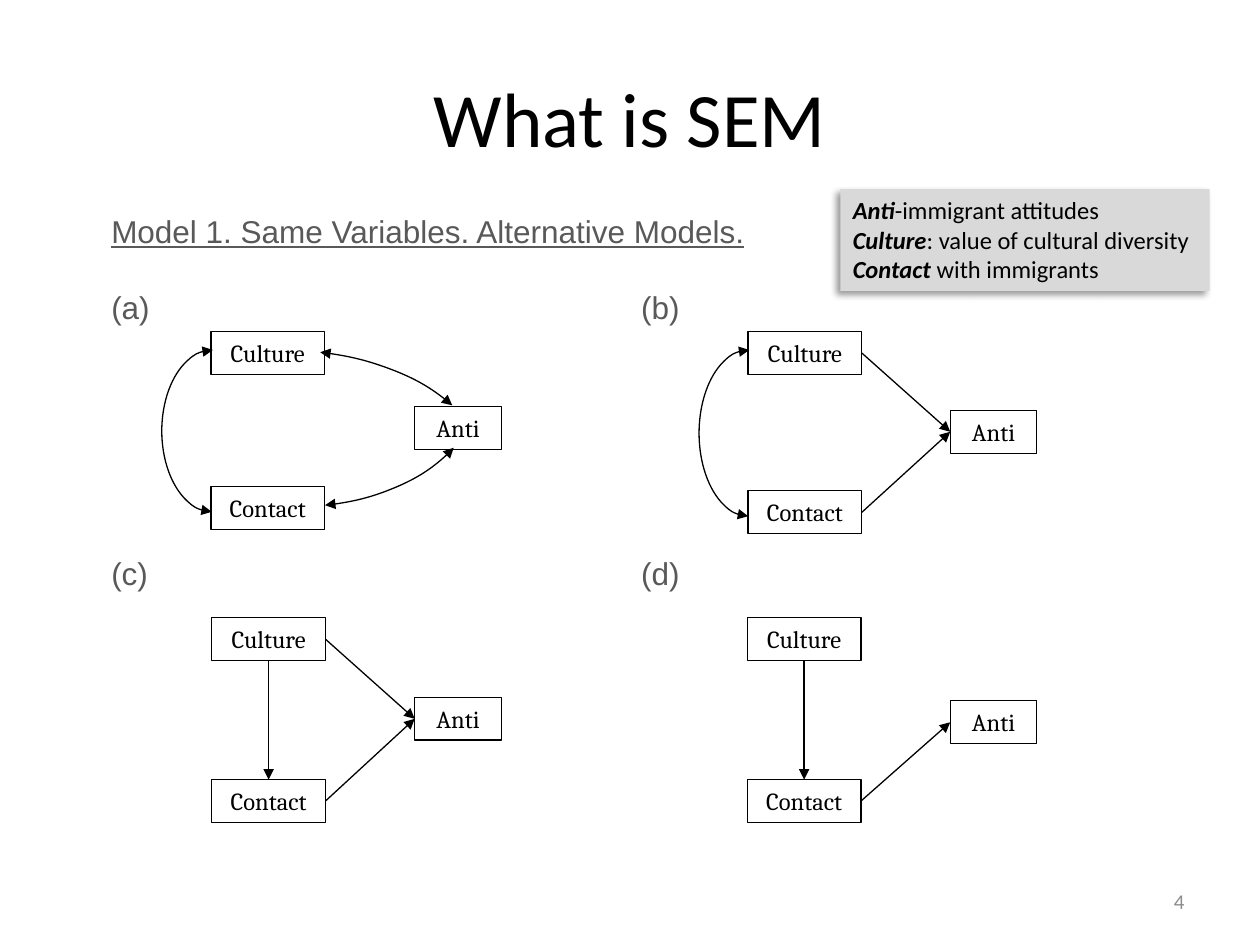
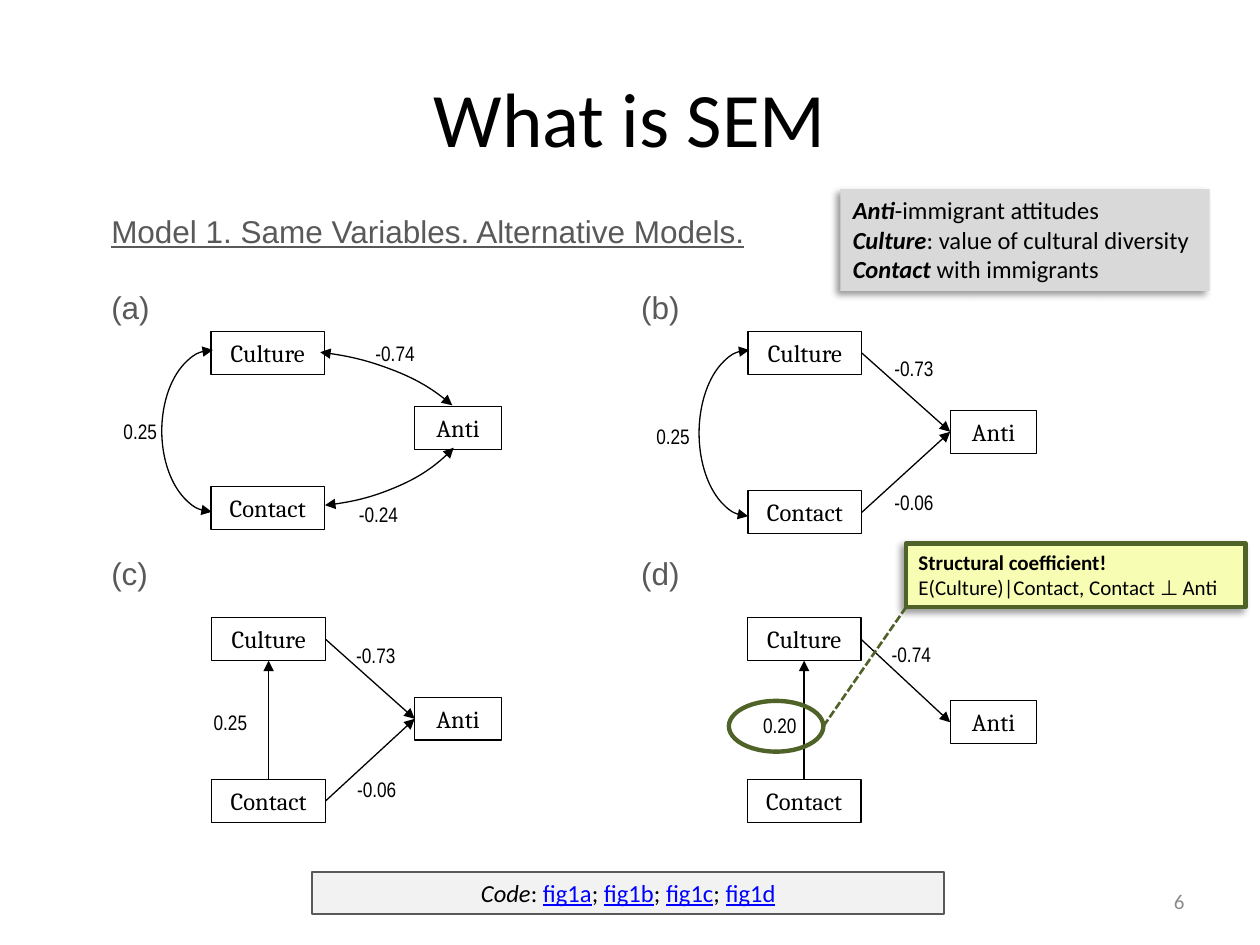
from dataclasses import dataclass

from lxml.etree import SubElement
from pptx import Presentation
from pptx.dml.color import RGBColor
from pptx.enum.dml import MSO_LINE
from pptx.enum.shapes import MSO_CONNECTOR, MSO_SHAPE
from pptx.enum.text import MSO_ANCHOR, PP_ALIGN
from pptx.oxml.ns import qn
from pptx.util import Pt

BLACK = RGBColor(0x00, 0x00, 0x00)
DARK_GREY = RGBColor(0x59, 0x59, 0x59)
NUMBER_GREY = RGBColor(0x8C, 0x8C, 0x8C)
LEGEND_GREY = RGBColor(0xD9, 0xD9, 0xD9)
CODE_GREY = RGBColor(0xF2, 0xF2, 0xF2)
GREEN = RGBColor(0x4F, 0x62, 0x28)
YELLOW = RGBColor(0xF7, 0xFE, 0xB4)
LINK_BLUE = RGBColor(0x00, 0x00, 0xFF)

TERM = {"bold": True, "italic": True}
LINK = {"color": LINK_BLUE, "underline": True}
BOX_W, ANTI_W, BOX_H = 65, 49.5, 24.5

# Connection sites for a path; every other path runs from right side to left side.
VERTICAL_SITES = {("Culture", "Contact"): (2, 0), ("Contact", "Culture"): (0, 2)}

# Start and end of each arc, in units of 100000/60000 degrees
LEFT_ARC = (54.325, 162.139)
UPPER_ARC = (171.965, 201.795)
LOWER_ARC = (14.263, 46.616)


@dataclass
class Model:
    left: float
    top: float
    contact_top: float
    anti_left: float
    anti_top: float
    arcs: tuple = ()


MODELS = {
    "a": Model(120.5, 189.5, 278, 237, 232.5, (
        (42.5, 200, 237.5, 148.5, UPPER_ARC),
        (64, 143.5, 212, 146, LOWER_ARC),
        (92.5, 200, 58, 92.5, LEFT_ARC))),
    "b": Model(427.5, 189.5, 280.5, 543, 234.5, ((399.5, 200, 57, 95, LEFT_ARC),)),
    "c": Model(121, 353, 445.5, 237, 398.5),
    "d": Model(427, 353, 445.5, 543, 400.5),
}
BOTH_TO_ANTI = [("Culture", "Anti"), ("Contact", "Anti")]
FIRST_PATHS = {
    "a": [],
    "b": BOTH_TO_ANTI,
    "c": BOTH_TO_ANTI + [("Culture", "Contact")],
    "d": [("Culture", "Contact"), ("Contact", "Anti")],
}
FITTED_PATHS = {
    "a": [],
    "b": BOTH_TO_ANTI,
    "c": BOTH_TO_ANTI + [("Contact", "Culture")],
    "d": [("Contact", "Culture"), ("Culture", "Anti")],
}
COEFFICIENTS = [
    ("-0.74", 207.5, 191), ("-0.24", 198, 283), ("0.25", 63.5, 235.5),
    ("-0.73", 504, 199.5), ("-0.06", 504, 276), ("0.25", 368, 238.5),
    ("-0.73", 196.5, 363.5), ("-0.06", 197, 440), ("0.25", 115, 402),
    ("-0.74", 502.5, 363), ("0.20", 429, 403.5),
]


def write(sp, *paragraphs, size=14, font="Calibri", color=BLACK, align=PP_ALIGN.LEFT,
          anchor=MSO_ANCHOR.TOP, wrap=True, **style):
    """Fill a shape; a paragraph is a string or a list of strings and (text, style) pairs."""
    tf = sp.text_frame
    tf.word_wrap = wrap
    tf.vertical_anchor = anchor
    for i, runs in enumerate(paragraphs):
        p = tf.add_paragraph() if i else tf.paragraphs[0]
        p.alignment = align
        for run in [runs] if isinstance(runs, str) else runs:
            text, own = (run, {}) if isinstance(run, str) else run
            look = {"color": color, **style, **own}
            r = p.add_run()
            r.text = text
            r.font.size = Pt(size)
            r.font.name = font
            r.font.color.rgb = look.pop("color")
            for name, value in look.items():
                setattr(r.font, name, value)


def add_text(s, x, y, w, h, *paragraphs, **style):
    sp = s.shapes.add_textbox(Pt(x), Pt(y), Pt(w), Pt(h))
    write(sp, *paragraphs, **style)


def set_line(sp, color, width, head=False, tail=False):
    sp.line.color.rgb = color
    sp.line.width = Pt(width)
    ln = sp.line._get_or_add_ln()
    for wanted, tag in ((head, "a:headEnd"), (tail, "a:tailEnd")):
        if wanted:
            SubElement(ln, qn(tag), type="triangle")


def add_shape(s, kind, x, y, w, h, fill=None, line=BLACK, width=0.75):
    sp = s.shapes.add_shape(kind, Pt(x), Pt(y), Pt(w), Pt(h))
    sp.shadow.inherit = False
    if fill is None:
        sp.fill.background()
    else:
        sp.fill.solid()
        sp.fill.fore_color.rgb = fill
    if line is None:
        sp.line.fill.background()
    else:
        set_line(sp, line, width)
    return sp


def drop_shadow(sp):
    effects = sp._element.spPr.find(qn("a:effectLst"))
    shadow = SubElement(effects, qn("a:outerShdw"), blurRad=str(Pt(4)), dist=str(Pt(3)),
                        dir="8100000", algn="tr", rotWithShape="0")
    color = SubElement(shadow, qn("a:srgbClr"), val=str(BLACK))
    SubElement(color, qn("a:alpha"), val="40000")


def add_line(s, x1, y1, x2, y2, color=BLACK, width=0.75, tail=False):
    cx = s.shapes.add_connector(MSO_CONNECTOR.STRAIGHT, Pt(x1), Pt(y1), Pt(x2), Pt(y2))
    set_line(cx, color, width, tail=tail)
    SubElement(cx._element.spPr, qn("a:effectLst"))
    return cx


def add_path(s, boxes, source, target):
    """Draw an arrow from one variable to another."""
    start, end = VERTICAL_SITES.get((source, target), (3, 1))
    cx = add_line(s, 0, 0, 0, 0, tail=True)
    cx.begin_connect(boxes[source], start)
    cx.end_connect(boxes[target], end)


def add_covariance(s, x, y, w, h, angles):
    """Draw a curved double-headed arrow."""
    sp = add_shape(s, MSO_SHAPE.ARC, x, y, w, h)
    sp.adjustments[0], sp.adjustments[1] = angles
    set_line(sp, BLACK, 0.75, head=True, tail=True)


def add_model(s, model, paths):
    places = {
        "Culture": (model.left, model.top, BOX_W),
        "Contact": (model.left, model.contact_top, BOX_W),
        "Anti": (model.anti_left, model.anti_top, ANTI_W),
    }
    boxes = {}
    for name, (x, y, w) in places.items():
        boxes[name] = add_shape(s, MSO_SHAPE.RECTANGLE, x, y, w, BOX_H)
        write(boxes[name], name, font="Cambria", align=PP_ALIGN.CENTER)
    for arc in model.arcs:
        add_covariance(s, *arc)
    for source, target in paths:
        add_path(s, boxes, source, target)


def add_legend(s):
    sp = add_shape(s, MSO_SHAPE.RECTANGLE, 480.25, 108, 211, 58.25, LEGEND_GREY, None)
    drop_shadow(sp)
    write(sp, [("Anti", TERM), "-immigrant attitudes"],
          [("Culture", TERM), ": value of cultural diversity"],
          [("Contact", TERM), " with immigrants"])


def add_sem_slide(prs, number, paths):
    """Add a slide with title, heading, four path models, legend and number."""
    s = prs.slides.add_slide(prs.slide_layouts[6])
    add_text(s, 36, 21.5, 648, 90, "What is SEM", size=44, align=PP_ALIGN.CENTER,
             anchor=MSO_ANCHOR.MIDDLE)
    heading = {"size": 18, "font": "Arial", "color": DARK_GREY}
    add_text(s, 56.5, 117.5, 400, 28, "Model 1. Same Variables. Alternative Models.",
             underline=True, **heading)
    for i, letter in enumerate(MODELS):
        row, column = divmod(i, 2)
        add_text(s, 56.5 + 302.75 * column, 161 + 152 * row, 40, 28, f"({letter})", **heading)
    for letter, model in MODELS.items():
        add_model(s, model, paths[letter])
    add_legend(s)
    add_text(s, 516, 500.5, 168, 28.75, str(number), size=12, color=NUMBER_GREY,
             align=PP_ALIGN.RIGHT, anchor=MSO_ANCHOR.MIDDLE)
    return s


def add_callout(s):
    """Ring the structural coefficient and explain it."""
    add_shape(s, MSO_SHAPE.OVAL, 416.5, 400.5, 54, 29, line=GREEN, width=2.5)
    sp = add_shape(s, MSO_SHAPE.RECTANGLE, 517.75, 310.5, 194, 36.5, YELLOW, GREEN, 2.5)
    drop_shadow(sp)
    write(sp, [("Structural coefficient!", {"bold": True})],
          "E(Culture)|Contact, Contact ⊥ Anti", size=12)
    cx = add_line(s, 517.75, 347, 470.5, 415, GREEN, 1.5)
    cx.line.dash_style = MSO_LINE.SQUARE_DOT


def add_code_bar(s):
    sp = add_shape(s, MSO_SHAPE.RECTANGLE, 178.5, 498.25, 361, 24.25, CODE_GREY, DARK_GREY, 1.25)
    runs = [("Code", {"italic": True})]
    for i, letter in enumerate(MODELS):
        runs += ["; " if i else ": ", (f"fig1{letter}", LINK)]
    write(sp, runs, align=PP_ALIGN.CENTER)


def main():
    prs = Presentation()
    prs.slide_width, prs.slide_height = Pt(720), Pt(540)
    add_sem_slide(prs, 4, FIRST_PATHS)
    s = add_sem_slide(prs, 6, FITTED_PATHS)
    for value, x, y in COEFFICIENTS:
        add_text(s, x, y, 41, 21.75, value, size=12, font="Arial Narrow", wrap=False)
    add_callout(s)
    add_code_bar(s)
    prs.save("out.pptx")


if __name__ == "__main__":
    main()
